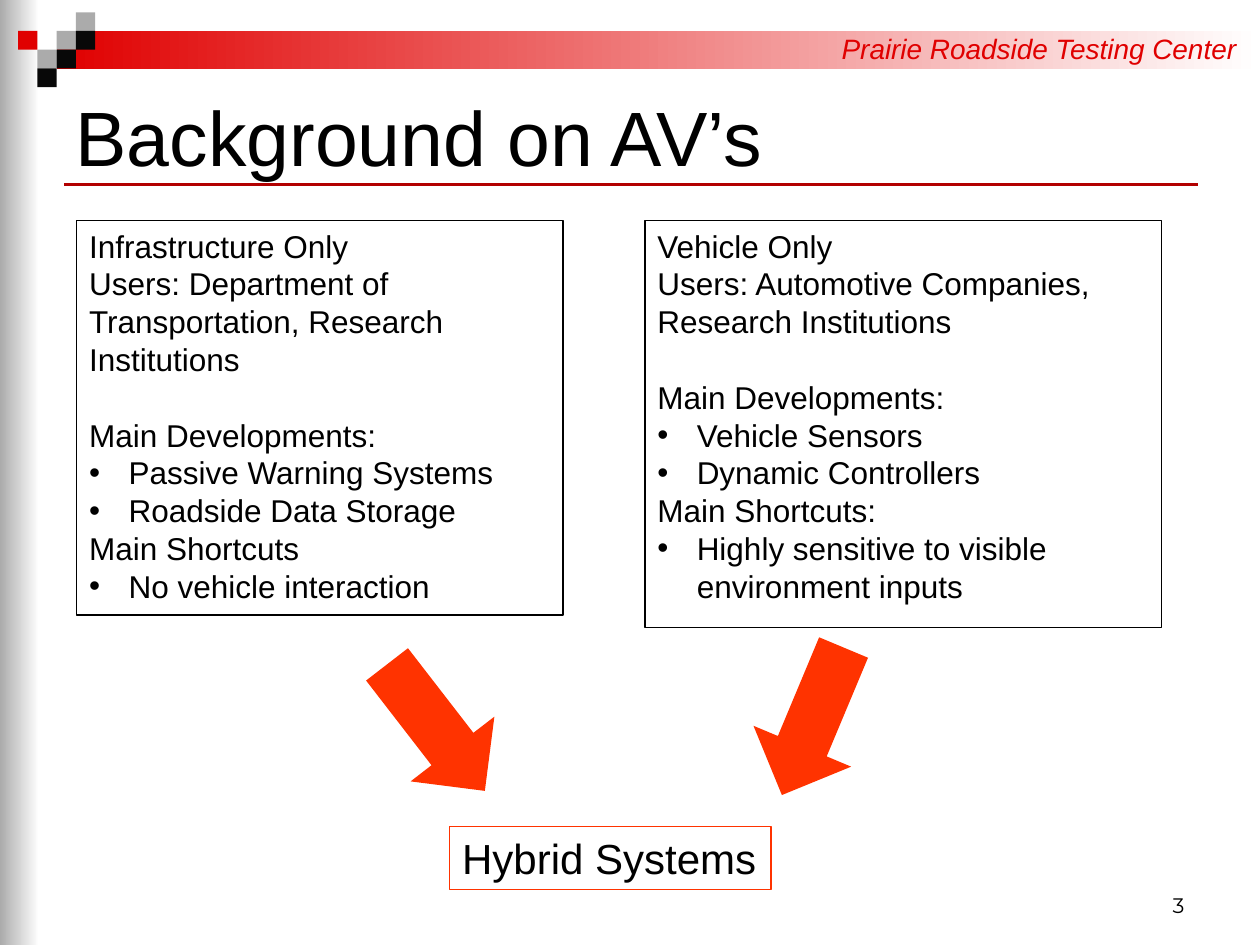
from pptx import Presentation
from pptx.dml.color import RGBColor
from pptx.enum import shapes as kinds, text as txt
from pptx.oxml.ns import qn
from pptx.util import Pt
from lxml import etree

THEME = dict(
    red="E00000", rule="B20000", gray="ABABAB", black="080808",
    white="FFFFFF", ink="000000", hot="FF3300",
    font="Arial", num="Montserrat",
    title=44, body=18, head=16, goal=24, page=12,
)
TITLE = "Background on AV\u2019s"
HEAD = "Prairie Roadside Testing Center"
GOAL = "Hybrid Systems"
PAGE = "3"
BANDS = [(0, 0, 22.5, 540, "gray"), (32.4, 17.6, 687.6, 21.6, "red")]
TILES = [(2, 1, "gray"), (3, 0, "gray"), (3, 1, "black"), (1, 2, "gray"),
         (0, 1, "red"), (2, 2, "black"), (1, 3, "black")]
CARDS = [
    ((368.6, 126, 295.2, 232.6), [
        ("Vehicle Only", "line"),
        ("Users: Automotive Companies, Research Institutions", "line"),
        ("Main Developments:", "gap"),
        ("Vehicle Sensors", "dot"),
        ("Dynamic Controllers", "dot"),
        ("Main Shortcuts:", "line"),
        ("Highly sensitive to visible environment inputs", "dot")]),
    ((43.9, 126, 277.9, 225.4), [
        ("Infrastructure Only", "line"),
        ("Users: Department of Transportation, Research Institutions", "line"),
        ("Main Developments:", "gap"),
        ("Passive Warning Systems", "dot"),
        ("Roadside Data Storage", "dot"),
        ("Main Shortcuts", "line"),
        ("No vehicle interaction", "dot")]),
]
ARROWS = [(218.9, 370.1, 322.3), (434.2, 366.5, 22.7)]

deck = Presentation()
deck.slide_width, deck.slide_height = Pt(720), Pt(540)
slide = deck.slides.add_slide(deck.slide_layouts[5])
parts = slide.shapes


def tint(key):
    return RGBColor.from_string(THEME[key])


def place(shape, box):
    shape.left, shape.top, shape.width, shape.height = map(Pt, box)


def style(para, size, color="ink", font="font", italic=False):
    for run in para.runs:
        face = run.font
        face.name, face.size = THEME[font], Pt(THEME[size])
        face.color.rgb, face.italic = tint(color), italic


def draw(box, fill=None, edge=None, kind=kinds.MSO_SHAPE.RECTANGLE):
    shape = parts.add_shape(kind, *map(Pt, box))
    shape.shadow.inherit = False
    if fill:
        shape.fill.solid()
        shape.fill.fore_color.rgb = tint(fill)
    else:
        shape.fill.background()
    if edge:
        shape.line.color.rgb, shape.line.width = tint(edge), Pt(0.75)
    else:
        shape.line.fill.background()
    return shape


def label(shape, words, size, align="LEFT", anchor="TOP", wrap=True, **look):
    frame = shape.text_frame
    frame.text, frame.word_wrap = words, wrap
    frame.vertical_anchor = getattr(txt.MSO_ANCHOR, anchor)
    para = frame.paragraphs[0]
    para.alignment = getattr(txt.PP_ALIGN, align)
    style(para, size, **look)


def dot(para):
    props = para._p.get_or_add_pPr()
    props.set("marL", str(Pt(22.5)))
    props.set("indent", str(-Pt(22.5)))
    etree.SubElement(props, qn("a:buFont")).set("typeface", THEME["font"])
    etree.SubElement(props, qn("a:buChar")).set("char", "\u2022")


def card(box, rows):
    frame = draw(box, edge="ink").text_frame
    frame.word_wrap = True
    frame.vertical_anchor = txt.MSO_ANCHOR.TOP
    frame.text = "\n".join(words for words, _ in rows)
    pitch = Pt(THEME["body"] * 1.2)
    for para, (_, role) in zip(frame.paragraphs, rows):
        para.alignment = txt.PP_ALIGN.LEFT
        para.line_spacing = pitch
        para.space_before = pitch if role == "gap" else Pt(0)
        if role == "dot":
            dot(para)
        style(para, "body")


for *box, key in BANDS:
    fill = draw(box, key).fill
    fill.gradient()
    fill.gradient_angle = 0
    for stop, hue, spot in zip(fill.gradient_stops, (key, "white"), (0, 1)):
        stop.color.rgb, stop.position = tint(hue), spot

for col, row, key in TILES:
    draw((10.4 + 11 * col, 7 + 10.7 * row, 11, 10.7), key)

head = parts.add_textbox(*map(Pt, (455.8, 14.4, 257.8, 26.6)))
label(head, HEAD, "head", "RIGHT", "MIDDLE", color="red", italic=True)

rule = parts.add_connector(kinds.MSO_CONNECTOR.STRAIGHT,
                           Pt(36.7), Pt(105.6), Pt(684.7), Pt(105.6))
rule.line.color.rgb, rule.line.width = tint("rule"), Pt(1.5)
etree.SubElement(rule._element.spPr, qn("a:effectLst"))

place(parts.title, (36, 45.4, 648, 64.8))
label(parts.title, TITLE, "title", anchor="MIDDLE")

page = parts.add_textbox(*map(Pt, (516.2, 491.8, 167.8, 36)))
label(page, PAGE, "page", "RIGHT", "BOTTOM", font="num")

for box, rows in CARDS:
    card(box, rows)

goal = draw((257, 472.3, 183.6, 36), edge="hot")
label(goal, GOAL, "goal", anchor="MIDDLE", wrap=False)

for left, top, turn in ARROWS:
    arrow = draw((left, top, 60.5, 91.4), "hot",
                 kind=kinds.MSO_SHAPE.DOWN_ARROW)
    arrow.rotation = turn

deck.save("out.pptx")
